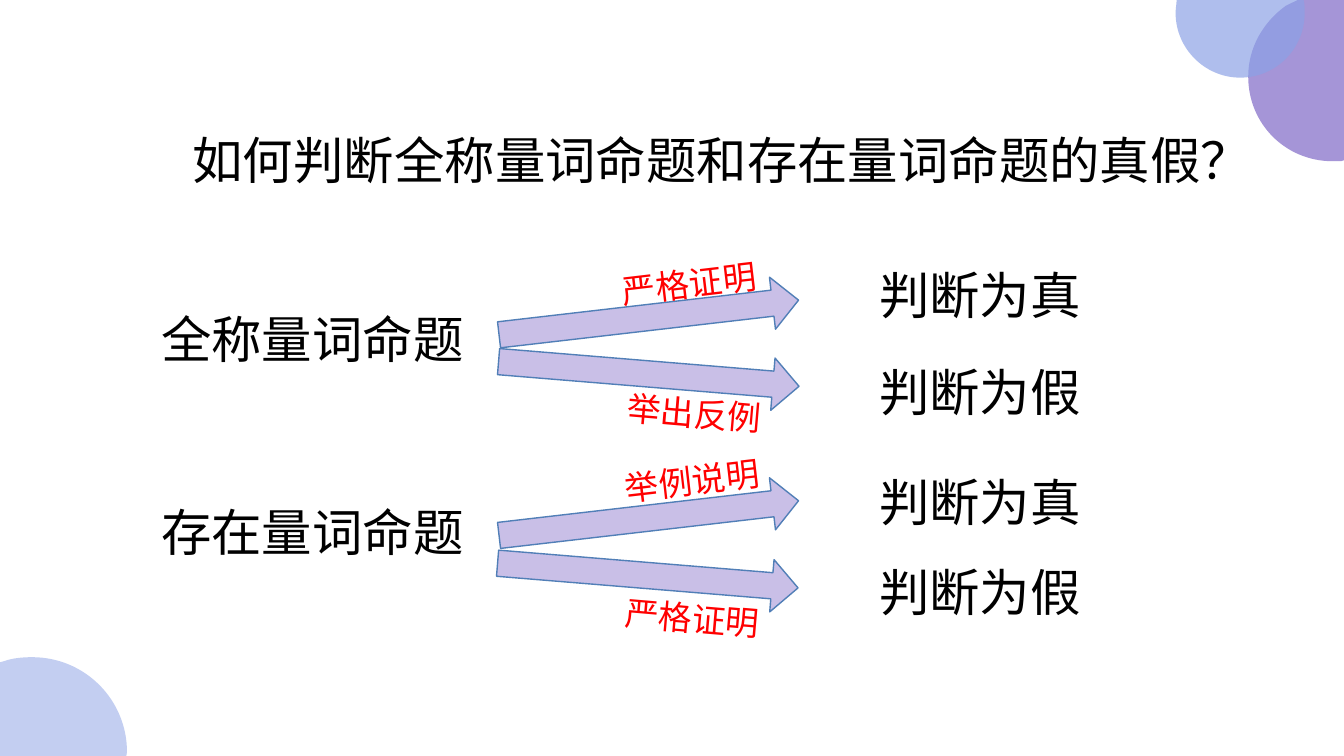
from dataclasses import dataclass

from lxml import etree
from pptx import Presentation
from pptx.dml.color import RGBColor
from pptx.enum.shapes import MSO_SHAPE
from pptx.enum.text import MSO_ANCHOR, MSO_AUTO_SIZE, PP_ALIGN
from pptx.oxml.ns import qn
from pptx.util import Inches, Pt

RIGHT_ARROW = MSO_SHAPE.RIGHT_ARROW
LEFT = PP_ALIGN.LEFT
TOP = MSO_ANCHOR.TOP
GROW = MSO_AUTO_SIZE.SHAPE_TO_FIT_TEXT

FONT = "Noto Sans CJK SC"
BLACK = RGBColor(0x00, 0x00, 0x00)
RED = RGBColor(0xFF, 0x00, 0x00)
PURPLE = RGBColor(0xA5, 0x95, 0xD7)
BLUE = RGBColor(0x8C, 0xA2, 0xE6)
ARROW_FILL = RGBColor(0xC9, 0xBF, 0xE7)
ARROW_LINE = RGBColor(0x51, 0x7F, 0xB7)

SLIDE_WIDTH, SLIDE_HEIGHT = 13.33, 7.5
TEXT_HEIGHT = 0.71
ARROW_WIDTH, ARROW_HEIGHT = 2.99, 0.52
UP_ANGLE, DOWN_ANGLE = -6.6, 4.7


@dataclass
class CutCircle:
    """Outline steps: two numbers for a line, six for a Bezier curve."""
    color: RGBColor
    opacity: int
    start: tuple[float, float]
    steps: list[tuple[float, ...]]


@dataclass
class Label:
    text: str
    left: float
    top: float
    width: float
    height: float = TEXT_HEIGHT
    size: int = 36
    color: RGBColor = BLACK
    rotation: float = 0
    wrap: bool = False


@dataclass
class Arrow:
    left: float
    top: float
    rotation: float


CUT_CIRCLES = [
    CutCircle(PURPLE, 100, (12.87, 0), [
        (13.33, 0), (13.33, 1.59), (13.3, 1.6),
        (13.28, 1.6, 13.25, 1.6, 13.22, 1.6),
        (12.75, 1.6, 12.38, 1.23, 12.38, 0.76),
        (12.38, 0.47, 12.53, 0.22, 12.75, 0.06)]),
    CutCircle(BLUE, 69, (11.68, -0.01), [
        (12.93, -0.01), (12.93, 0),
        (12.94, 0.04, 12.94, 0.08, 12.94, 0.13),
        (12.94, 0.48, 12.66, 0.77, 12.3, 0.77),
        (11.95, 0.77, 11.66, 0.48, 11.66, 0.13),
        (11.66, 0.08, 11.67, 0.04, 11.67, 0)]),
    CutCircle(BLUE, 52, (0.32, 6.52), [
        (0.84, 6.52, 1.26, 6.94, 1.26, 7.46),
        (1.25, 7.52), (0, 7.52), (0, 6.57), (0.04, 6.56),
        (0.12, 6.53, 0.22, 6.52, 0.32, 6.52)]),
]
TITLE = Label("如何判断全称量词命题和存在量词命题的真假？", 1.81, 1.23, 10.8)
PROPOSITIONS = [
    Label("全称量词命题", 1.5, 3.01, 3.23),
    Label("存在量词命题", 1.5, 4.92, 3.23),
]
ARROWS = [
    Arrow(4.94, 3.45, DOWN_ANGLE),
    Arrow(4.94, 2.89, UP_ANGLE),
    Arrow(4.93, 5.45, DOWN_ANGLE),
    Arrow(4.94, 4.88, UP_ANGLE),
]
VERDICTS = [
    Label(text, 8.62, top, 2.22)
    for text, top in [("判断为真", 2.57), ("判断为真", 4.62),
                      ("判断为假", 3.53), ("判断为假", 5.52)]
]
METHODS = [
    Label(text, left, top, width, 0.51, 24, RED, rotation, wrap)
    for text, left, top, width, rotation, wrap in [
        ("严格证明", 6.07, 2.56, 1.55, -6.7, False),
        ("严格证明", 6.1, 5.88, 1.55, 5, False),
        ("举出反例", 6.12, 3.85, 1.63, 5, True),
        ("举例说明", 6.1, 4.51, 1.63, -6.6, True),
    ]
]


def draw_cut_circle(slide, circle: CutCircle) -> None:
    """Join the outline's end points, then bend the curved steps."""
    builder = slide.shapes.build_freeform(*map(Inches, circle.start))
    builder.add_line_segments(
        [(Inches(step[-2]), Inches(step[-1])) for step in circle.steps])
    shape = builder.convert_to_shape()
    lines = list(shape._element.iter(qn("a:lnTo")))
    for line, step in zip(lines, circle.steps):
        if len(step) == 6:
            line.tag = qn("a:cubicBezTo")
            line.clear()
            for x, y in zip(step[::2], step[1::2]):
                etree.SubElement(line, qn("a:pt"),
                                 x=str(Inches(x) - shape.left),
                                 y=str(Inches(y) - shape.top))
    etree.SubElement(lines[-1].getparent(), qn("a:close"))
    shape.shadow.inherit = False
    shape.fill.solid()
    shape.fill.fore_color.rgb = circle.color
    shape.line.fill.background()
    if circle.opacity < 100:
        color = shape._element.spPr.find(qn("a:solidFill"))[0]
        etree.SubElement(color, qn("a:alpha"), val=str(circle.opacity * 1000))


def write_label(shape, label: Label) -> None:
    """Place a text shape and format its single paragraph."""
    shape.left, shape.top = Inches(label.left), Inches(label.top)
    shape.width, shape.height = Inches(label.width), Inches(label.height)
    shape.rotation = label.rotation
    frame = shape.text_frame
    frame.text = label.text
    frame.word_wrap = label.wrap
    frame.auto_size = GROW
    frame.vertical_anchor = TOP
    paragraph = frame.paragraphs[0]
    paragraph.alignment = LEFT
    font = paragraph.font
    font.name = FONT
    font.size = Pt(label.size)
    font.color.rgb = label.color
    # East Asian typeface
    etree.SubElement(font._element, qn("a:ea"), typeface=FONT)


def draw_label(slide, label: Label) -> None:
    write_label(slide.shapes.add_textbox(0, 0, 0, 0), label)


def draw_arrow(slide, arrow: Arrow) -> None:
    shape = slide.shapes.add_shape(
        RIGHT_ARROW, Inches(arrow.left), Inches(arrow.top),
        Inches(ARROW_WIDTH), Inches(ARROW_HEIGHT))
    shape.rotation = arrow.rotation
    shape.shadow.inherit = False
    shape.fill.solid()
    shape.fill.fore_color.rgb = ARROW_FILL
    shape.line.color.rgb = ARROW_LINE
    shape.line.width = Pt(1)


def main() -> None:
    presentation = Presentation()
    presentation.slide_width = Inches(SLIDE_WIDTH)
    presentation.slide_height = Inches(SLIDE_HEIGHT)
    slide = presentation.slides.add_slide(presentation.slide_layouts[5])

    # Title and corner circles
    write_label(slide.shapes.title, TITLE)
    for circle in CUT_CIRCLES:
        draw_cut_circle(slide, circle)

    # Propositions, arrows, verdicts and methods
    for label in PROPOSITIONS:
        draw_label(slide, label)
    for arrow in ARROWS:
        draw_arrow(slide, arrow)
    for label in VERDICTS + METHODS:
        draw_label(slide, label)

    presentation.save("out.pptx")


if __name__ == "__main__":
    main()
